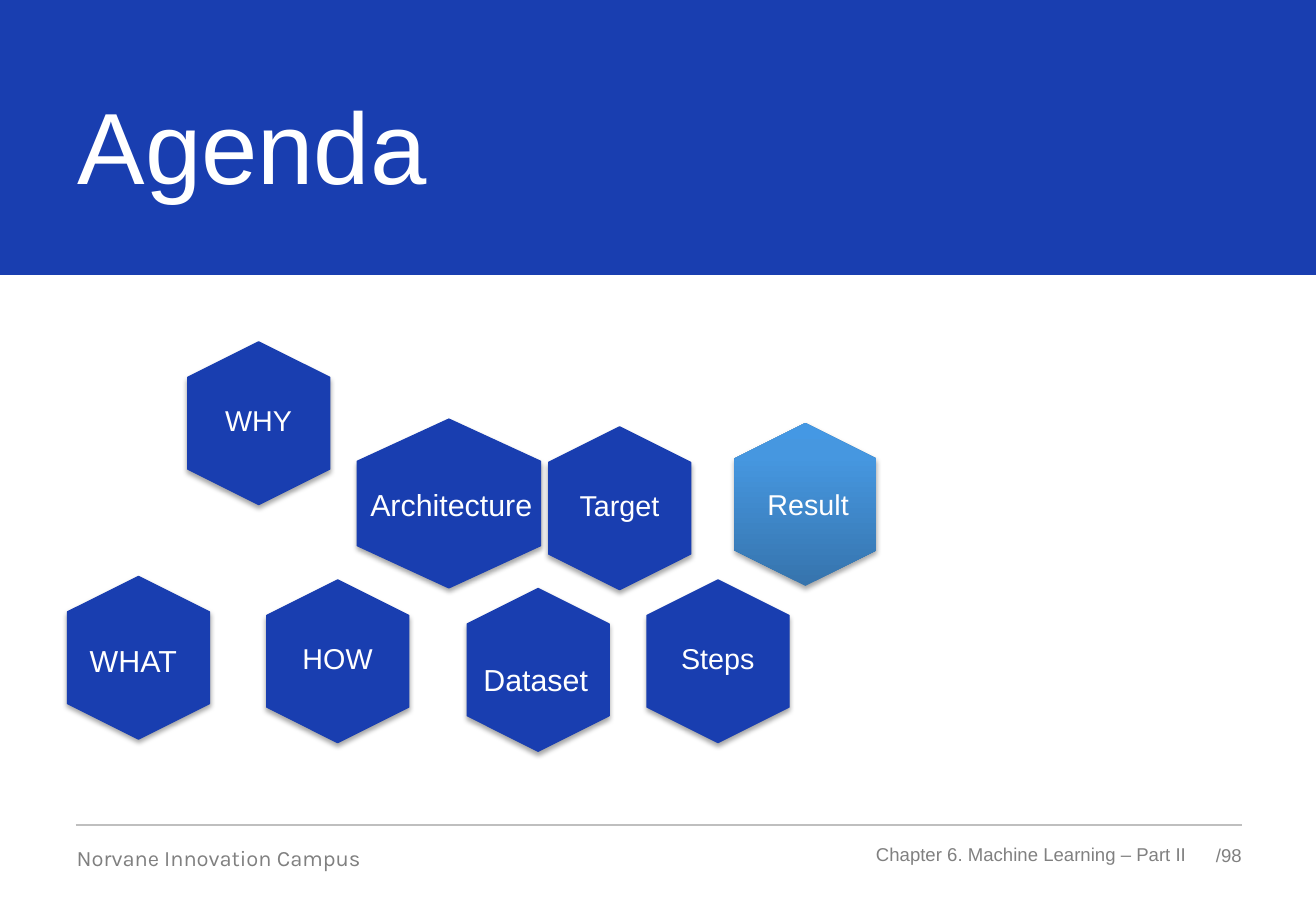
from dataclasses import dataclass

from lxml.etree import SubElement
from pptx import Presentation
from pptx.dml.color import RGBColor
from pptx.enum.shapes import MSO_CONNECTOR, MSO_SHAPE
from pptx.enum.text import MSO_ANCHOR, PP_ALIGN
from pptx.oxml import parse_xml
from pptx.oxml.ns import nsdecls, qn
from pptx.util import Pt

BLUE = RGBColor(0x19, 0x3E, 0xB0)
WHITE = RGBColor(0xFF, 0xFF, 0xFF)
GREY = RGBColor(0x80, 0x80, 0x80)
RULE_GREY = RGBColor(0xBF, 0xBF, 0xBF)
RESULT_STOPS = [
    (0, RGBColor(0x36, 0x74, 0xAD)),
    (80, RGBColor(0x46, 0x97, 0xE0)),
    (100, RGBColor(0x44, 0x98, 0xE4)),
]
SLIDE_WIDTH, SLIDE_HEIGHT = 780, 540


@dataclass
class Tile:
    """A hexagon; label is its text box, relative to the hexagon's frame."""
    name: str
    left: float
    top: float
    width: float = 96.5
    height: float = 84.2
    label: tuple = (19.4, 8.6, 57.6, 66.2)
    centred: bool = True
    size: float = 17
    stops: tuple = ()


TILES = [
    Tile("WHY", 105.1, 208.8),
    Tile("WHAT", 33.8, 347.8, label=(12.3, 29.5, 90, 28.8), centred=False, size=18),
    Tile("HOW", 151.9, 349.9),
    Tile("Architecture", 216, 244.1, 100.1, 108.7,
         label=(-3.6, 40.3, 119.5, 28.8), centred=False, size=18),
    Tile("Steps", 377.3, 349.9),
    Tile("Dataset", 270.7, 355, label=(8.7, 33.1, 95, 28.8), centred=False, size=18),
    Tile("Target", 319, 259.2),
    Tile("Result", 429.1, 257, label=(18.7, 28.1, 77, 28.1), centred=False,
         stops=RESULT_STOPS),
]


def add_text(page, text, left, top, width, height, size, color, font="Arial",
             align=PP_ALIGN.LEFT, anchor=MSO_ANCHOR.TOP, margins=None, wrap=True):
    box = page.shapes.add_textbox(Pt(left), Pt(top), Pt(width), Pt(height))
    frame = box.text_frame
    frame.text = text
    frame.word_wrap = wrap
    frame.vertical_anchor = anchor
    if margins is not None:
        frame.margin_left = frame.margin_right = Pt(margins)
        frame.margin_top = frame.margin_bottom = Pt(margins)
    para = frame.paragraphs[0]
    para.alignment = align
    span = para.runs[0]
    span.font.name = font
    span.font.size = Pt(size)
    span.font.color.rgb = color
    return para


def add_soft_shadow(shape):
    shape.shadow.inherit = False
    effects = shape._element.spPr.find(qn("a:effectLst"))
    shadow = SubElement(effects, qn("a:outerShdw"), blurRad=str(Pt(3.1)),
                        dist=str(Pt(1.8)), dir="5400000", rotWithShape="0")
    black = SubElement(shadow, qn("a:srgbClr"), val="000000")
    SubElement(black, qn("a:alpha"), val="35000")


def fill_upward_gradient(shape, stops):
    marks = "".join(
        f'<a:gs pos="{percent * 1000}"><a:srgbClr val="{color}"/></a:gs>'
        for percent, color in stops)
    gradient = parse_xml(
        f'<a:gradFill {nsdecls("a")} rotWithShape="0"><a:gsLst>{marks}</a:gsLst>'
        '<a:lin ang="16200000" scaled="0"/></a:gradFill>')
    shape._element.spPr.find(qn("a:prstGeom")).addnext(gradient)


def add_header(page, left, top, width, height):
    band = page.shapes.add_shape(MSO_SHAPE.RECTANGLE, Pt(left), Pt(top), Pt(width), Pt(height))
    band.shadow.inherit = False
    band.fill.solid()
    band.fill.fore_color.rgb = BLUE
    band.line.fill.background()
    add_text(page, "Agenda", left + 38.9, top + 46.1, 602, 80, 60, WHITE)


def add_tile(page, tile):
    hexagon = page.shapes.add_shape(MSO_SHAPE.HEXAGON, Pt(tile.left), Pt(tile.top),
                                    Pt(tile.width), Pt(tile.height))
    hexagon.rotation = 90
    hexagon.adjustments[0] = 0.25
    hexagon.adjustments[1] = 1.1547
    if tile.stops:
        fill_upward_gradient(hexagon, tile.stops)
        hexagon.line.fill.background()
    else:
        hexagon.fill.solid()
        hexagon.fill.fore_color.rgb = BLUE
        hexagon.line.color.rgb = BLUE
        hexagon.line.width = Pt(0.75)
    add_soft_shadow(hexagon)

    # Upright label over the turned hexagon
    dx, dy, width, height = tile.label
    place = (tile.left + dx, tile.top + dy, width, height)
    if tile.centred:
        para = add_text(page, tile.name, *place, tile.size, WHITE, align=PP_ALIGN.CENTER,
                        anchor=MSO_ANCHOR.MIDDLE, margins=5)
        para.line_spacing = 0.9
    else:
        add_text(page, tile.name, *place, tile.size, WHITE)


def add_footer(page, left, top, width):
    right = left + width
    rule = page.shapes.add_connector(MSO_CONNECTOR.STRAIGHT, Pt(left), Pt(top),
                                     Pt(right), Pt(top))
    rule.line.color.rgb = RULE_GREY
    rule.line.width = Pt(0.75)
    SubElement(rule._element.spPr, qn("a:effectLst"))
    add_text(page, "Norvane Innovation Campus", left + 0.5, top + 11.5, 227.5, 16, 13, GREY,
             font="Karla", margins=0)
    add_text(page, "Chapter 6. Machine Learning – Part II", right - 235.7, top + 11, 203, 13,
             11, GREY, align=PP_ALIGN.RIGHT, anchor=MSO_ANCHOR.MIDDLE, margins=0, wrap=False)
    add_text(page, "/98", right - 42.5, top + 4.5, 42.5, 26.6, 11, GREY,
             align=PP_ALIGN.RIGHT, anchor=MSO_ANCHOR.MIDDLE, margins=0)


def main():
    deck = Presentation()
    deck.slide_width, deck.slide_height = Pt(SLIDE_WIDTH), Pt(SLIDE_HEIGHT)
    page = deck.slides.add_slide(deck.slide_layouts[6])
    add_header(page, 0, 0, SLIDE_WIDTH, 163)
    for tile in TILES:
        add_tile(page, tile)
    add_footer(page, 45, 489, 691)
    deck.save("out.pptx")


if __name__ == "__main__":
    main()
